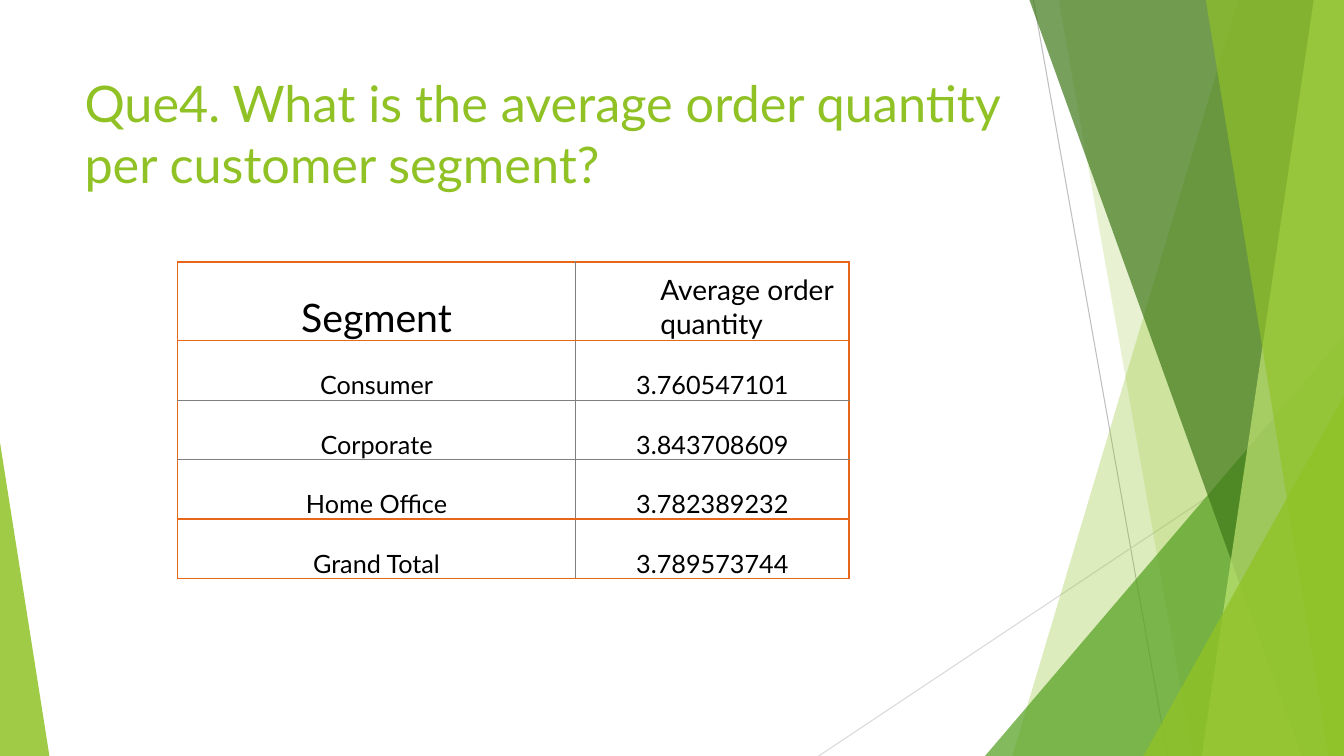
from lxml.etree import SubElement
from pptx import Presentation
from pptx.dml.color import RGBColor
from pptx.enum.shapes import MSO_CONNECTOR, MSO_SHAPE
from pptx.enum.text import MSO_ANCHOR as ANCHOR, PP_ALIGN as ALIGN
from pptx.oxml.ns import qn
from pptx.util import Pt

PX = 9144
WIDTH, HEIGHT = 1333, 750
FONT = "Lato"

BLACK = RGBColor(0x00, 0x00, 0x00)
LIME = RGBColor(0x90, 0xC2, 0x26)
LEAF = RGBColor(0x54, 0xA0, 0x21)
FOREST = RGBColor(0x3F, 0x78, 0x19)
PALE_LIME = RGBColor(0xC0, 0xE4, 0x74)
ORANGE = RGBColor(0xE7, 0x66, 0x18)
GREY = RGBColor(0x7F, 0x7F, 0x7F)
SILVER = RGBColor(0xBF, 0xBF, 0xBF)
LIGHT_GREY = RGBColor(0xD9, 0xD9, 0xD9)

RAYS = [
    ((1025, 0, 1158, HEIGHT), SILVER),
    ((WIDTH, 403, 812, HEIGHT), LIGHT_GREY),
]
BACK_SHARDS = [(1228, 1004, LIME, 30), (1050, 1183, LIME, 20)]
FRONT_SHARDS = [
    (1021, 1291, FOREST, 70),
    (1303, 1192, PALE_LIME, 70),
    (1196, 1318, LIME, 65),
]
BACK_CORNER = (977, 333, 356, LEAF, 72, 1)
FRONT_CORNERS = [(1134, 393, 199, LIME, 80, 1), (0, 439, 49, LIME, 85, 0)]

TITLE = "Que4. What is the average order quantity per customer segment?"
COLUMN_WIDTHS = [395, 271]
ROW_HEIGHTS = [78, 59, 59, 59, 59]
HEADERS = [
    ("Segment", {"size": Pt(28)}, ALIGN.CENTER, 1),
    ("Average order quantity", {"size": Pt(20)}, ALIGN.LEFT, 84),
]
SEGMENTS = [
    ("Consumer", "3.760547101"),
    ("Corporate", "3.843708609"),
    ("Home Office", "3.782389232"),
    ("Grand Total", "3.789573744"),
]


def emu(*lengths):
    return [length * PX for length in lengths]


def set_attributes(target, values):
    for name, value in values.items():
        setattr(target, name, value)


def write(paragraph, text, font_format):
    run = paragraph.add_run()
    run.text = text
    set_attributes(run.font, {"name": FONT, "bold": False, **font_format})


def paint(shape, color, opacity):
    shape.shadow.inherit = False
    shape.line.fill.background()
    shape.fill.solid()
    shape.fill.fore_color.rgb = color
    color_element = shape.fill._xPr.find(qn("a:solidFill"))[0]
    SubElement(color_element, qn("a:alpha"), val=str(opacity * 1000))


def add_ray(slide, ends, color):
    connector = slide.shapes.add_connector(MSO_CONNECTOR.STRAIGHT, *emu(*ends))
    set_attributes(connector.line, {"width": Pt(0.75)})
    connector.line.color.rgb = color
    SubElement(connector._element.spPr, qn("a:effectLst"))


def add_shard(slide, top_left, bottom_left, color, opacity):
    builder = slide.shapes.build_freeform(top_left, 0, PX)
    builder.add_line_segments(
        [(WIDTH, 0), (WIDTH, HEIGHT), (bottom_left, HEIGHT)], close=True
    )
    paint(builder.convert_to_shape(), color, opacity)


def add_corner(slide, left, top, width, color, opacity, apex):
    shape = slide.shapes.add_shape(
        MSO_SHAPE.ISOSCELES_TRIANGLE, *emu(left, top, width, HEIGHT - top)
    )
    shape.adjustments[0] = apex
    paint(shape, color, opacity)


def add_title(slide):
    frame = slide.shapes.add_textbox(*emu(74, 67, 940, 144)).text_frame
    set_attributes(frame, {"word_wrap": True, "vertical_anchor": ANCHOR.TOP})
    write(frame.paragraphs[0], TITLE, {"size": Pt(36)})
    frame.paragraphs[0].runs[0].font.color.rgb = LIME


def set_borders(cell, colors):
    properties = cell._tc.get_or_add_tcPr()
    for index, (side, color) in enumerate(colors.items()):
        line = properties.makeelement(qn(f"a:{side}"), {"w": str(Pt(1))})
        fill = SubElement(line, qn("a:solidFill"))
        SubElement(fill, qn("a:srgbClr"), val=str(color))
        properties.insert(index, line)


def fill_cell(cell, text, font_format, alignment, indent):
    set_attributes(cell, {
        "vertical_anchor": ANCHOR.BOTTOM,
        "margin_left": indent * PX,
        "margin_right": PX,
        "margin_top": PX,
        "margin_bottom": 0,
    })
    cell.fill.background()
    paragraph = cell.text_frame.paragraphs[0]
    paragraph.alignment = alignment
    write(paragraph, text, font_format)
    paragraph.runs[0].font.color.rgb = BLACK


def add_segment_table(slide):
    rows = [HEADERS] + [
        [(text, {"size": Pt(18)}, ALIGN.CENTER, 1) for text in segment]
        for segment in SEGMENTS
    ]
    table = slide.shapes.add_table(
        len(rows), len(COLUMN_WIDTHS),
        *emu(176, 260, sum(COLUMN_WIDTHS), sum(ROW_HEIGHTS)),
    ).table
    set_attributes(table, {"first_row": False, "horz_banding": False})
    for column, width in zip(table.columns, COLUMN_WIDTHS):
        column.width = width * PX
    for row, height in zip(table.rows, ROW_HEIGHTS):
        row.height = height * PX
    horizontals = [ORANGE, ORANGE, GREY, GREY, ORANGE, ORANGE]
    verticals = [ORANGE, GREY, ORANGE]
    for r, contents in enumerate(rows):
        for c, content in enumerate(contents):
            cell = table.cell(r, c)
            fill_cell(cell, *content)
            set_borders(cell, {
                "lnL": verticals[c],
                "lnR": verticals[c + 1],
                "lnT": horizontals[r],
                "lnB": horizontals[r + 1],
            })


def main():
    presentation = Presentation()
    set_attributes(presentation, {
        "slide_width": WIDTH * PX,
        "slide_height": HEIGHT * PX,
    })
    slide = presentation.slides.add_slide(presentation.slide_layouts[6])
    for ray in RAYS:
        add_ray(slide, *ray)
    for shard in BACK_SHARDS:
        add_shard(slide, *shard)
    add_corner(slide, *BACK_CORNER)
    for shard in FRONT_SHARDS:
        add_shard(slide, *shard)
    for corner in FRONT_CORNERS:
        add_corner(slide, *corner)
    add_title(slide)
    add_segment_table(slide)
    presentation.save("out.pptx")


if __name__ == "__main__":
    main()
